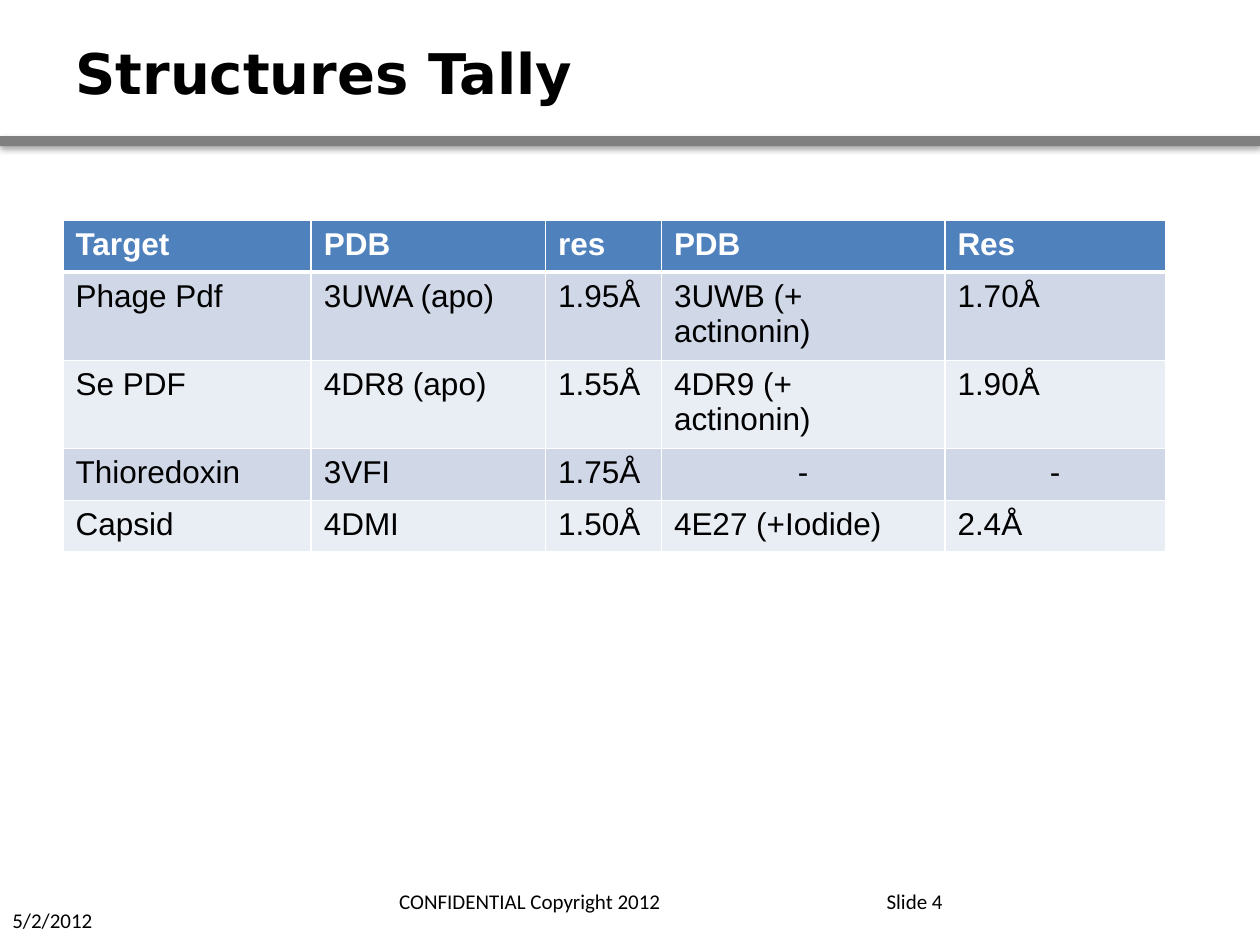
from lxml.etree import SubElement
from pptx import Presentation
from pptx.dml.color import RGBColor
from pptx.enum.shapes import MSO_SHAPE as Shape
from pptx.enum.text import MSO_ANCHOR as Anchor, PP_ALIGN as Align
from pptx.oxml.ns import qn
from pptx.util import Inches, Pt

BLACK, WHITE, GRAY = "000000", "FFFFFF", "808080"
HEADER_FILL, BAND_FILLS = "4F81BD", ("D0D8E8", "E9EDF4")

TITLE_FORMAT = {"name": "DejaVu Sans", "size": Pt(32), "bold": True}
FOOTER_FORMAT = {"name": "Calibri", "size": Pt(12), "bold": False}
HEADER_FORMAT = {"name": "Arial", "size": Pt(18), "bold": True}
BODY_FORMAT = {**HEADER_FORMAT, "bold": False}

COLUMN_WIDTHS = (1.97, 1.86, 0.92, 2.25, 1.75)
ROW_HEIGHT = 0.41
STRUCTURES = (
    ("Target", "PDB", "res", "PDB", "Res"),
    ("Phage Pdf", "3UWA (apo)", "1.95Å", "3UWB (+ actinonin)", "1.70Å"),
    ("Se PDF", "4DR8 (apo)", "1.55Å", "4DR9 (+ actinonin)", "1.90Å"),
    ("Thioredoxin", "3VFI", "1.75Å", "-", "-"),
    ("Capsid", "4DMI", "1.50Å", "4E27 (+Iodide)", "2.4Å"),
)
FOOTERS = (
    ("Slide 4", (6, 6.95, 1.58, 0.4), Align.RIGHT),
    ("CONFIDENTIAL Copyright 2012", (2.83, 6.95, 2.75, 0.4), Align.CENTER),
    ("5/2/2012", (0, 7.1, 1.67, 0.4), Align.LEFT),
)


def paint(color_format, color):
    color_format.rgb = RGBColor.from_string(color)


def write_text(frame, text, font_format, color=BLACK, align=Align.LEFT):
    paragraph = frame.paragraphs[0]
    paragraph.alignment = align
    run = paragraph.add_run()
    run.text = text
    for key, value in font_format.items():
        setattr(run.font, key, value)
    paint(run.font.color, color)


def add_label(slide, text, box, font_format, align=Align.LEFT):
    frame = slide.shapes.add_textbox(*map(Inches, box)).text_frame
    frame.word_wrap = True
    frame.vertical_anchor = Anchor.MIDDLE
    write_text(frame, text, font_format, align=align)


def add_divider(slide):
    divider = slide.shapes.add_shape(
        Shape.RECTANGLE, *map(Inches, (0, 1.08, 10, 0.08)))
    divider.fill.solid()
    paint(divider.fill.fore_color, GRAY)
    divider.line.fill.background()
    # Soft shadow below the bar
    divider.shadow.inherit = False
    effects = divider._element.spPr.find(qn("a:effectLst"))
    shadow = SubElement(effects, qn("a:outerShdw"), blurRad=str(Pt(3.1)),
                        dist=str(Pt(1.8)), dir="5400000", rotWithShape="0")
    color = SubElement(shadow, qn("a:srgbClr"), val=BLACK)
    SubElement(color, qn("a:alpha"), val="35000")


def set_borders(cell, widths):
    properties = cell._tc.get_or_add_tcPr()
    for side, width in widths.items():
        border = SubElement(properties, qn(f"a:ln{side}"), w=str(Pt(width)))
        fill = SubElement(border, qn("a:solidFill"))
        SubElement(fill, qn("a:srgbClr"), val=WHITE)


def style_cell(cell, text, row):
    is_header = row == 0
    # Heavier rule between the header and the body
    set_borders(cell, {"L": 1, "R": 1, "T": 3 if row == 1 else 1,
                       "B": 3 if is_header else 1})
    cell.fill.solid()
    paint(cell.fill.fore_color,
          HEADER_FILL if is_header else BAND_FILLS[(row - 1) % 2])
    write_text(cell.text_frame, text,
               HEADER_FORMAT if is_header else BODY_FORMAT,
               WHITE if is_header else BLACK,
               Align.CENTER if text == "-" else Align.LEFT)


def add_structure_table(slide):
    size = (sum(COLUMN_WIDTHS), ROW_HEIGHT * len(STRUCTURES))
    tally = slide.shapes.add_table(
        len(STRUCTURES), len(COLUMN_WIDTHS),
        *map(Inches, (0.5, 1.75, *size))).table
    for column, width in zip(tally.columns, COLUMN_WIDTHS):
        column.width = Inches(width)
    for row, entries in enumerate(STRUCTURES):
        tally.rows[row].height = Inches(ROW_HEIGHT)
        for column, text in enumerate(entries):
            style_cell(tally.cell(row, column), text, row)


def main():
    deck = Presentation()
    deck.slide_width, deck.slide_height = Inches(10), Inches(7.5)
    slide = deck.slides.add_slide(deck.slide_layouts[6])

    # Heading
    add_divider(slide)
    add_label(slide, "Structures Tally", (0.5, 0.17, 9, 0.8), TITLE_FORMAT)

    # Tally of structures
    add_structure_table(slide)

    # Footer line
    for text, box, align in FOOTERS:
        add_label(slide, text, box, FOOTER_FORMAT, align)

    deck.save("out.pptx")


if __name__ == "__main__":
    main()
